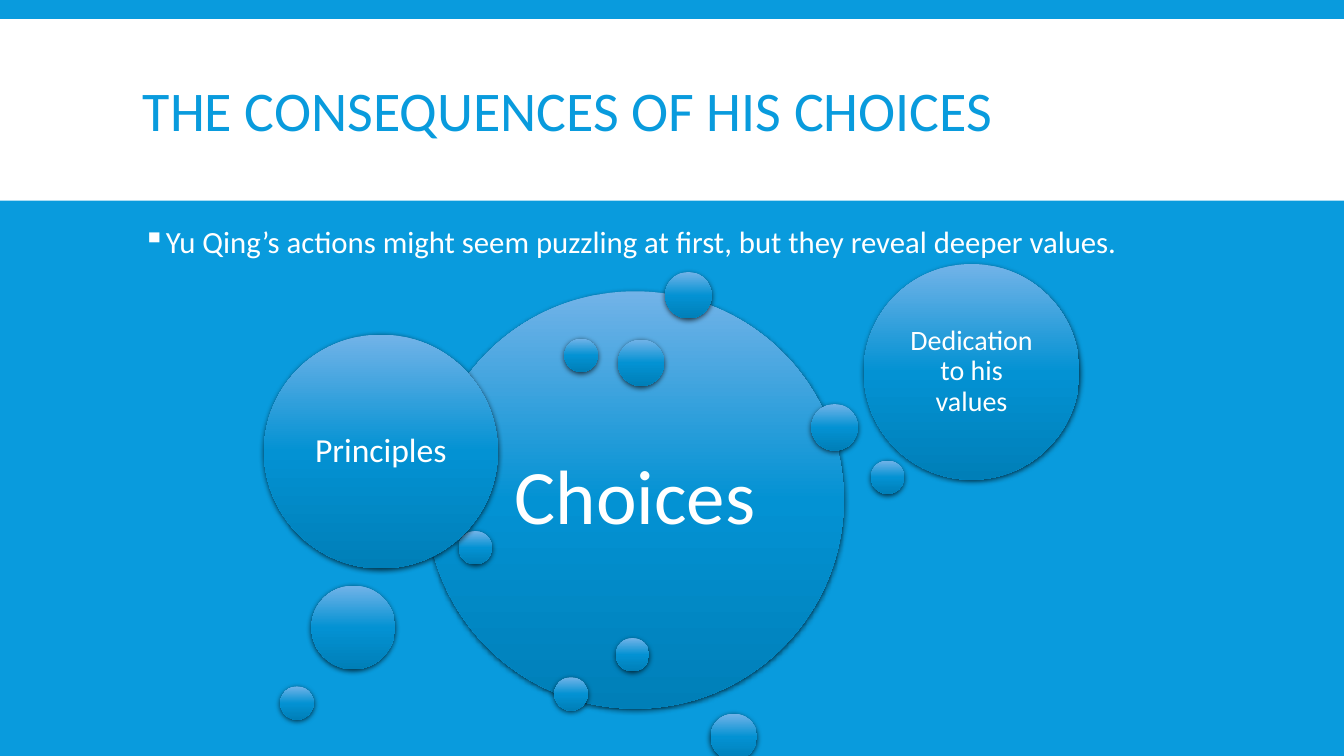
from copy import deepcopy
from dataclasses import dataclass

from pptx import Presentation
from pptx import util as u
from pptx.dml.color import RGBColor
from pptx.enum import shapes, text
from pptx.oxml import parse_xml
from pptx.oxml.ns import nsdecls, qn

BLUE, WHITE = "099BDD", "FFFFFF"
SHADES = ((0, "72B3E8"), (0.5, "0392D3"), (1, "007FB8"))
FONT = "Calibri"
TINY, SMALL = 23.8, 33.1  # dot widths


@dataclass
class Bubble:
    left: float
    top: float
    width: float
    label: str = ""
    size: float = 0
    inset: float = 0


BUBBLES = [
    Bubble(304.6, 208.1, 298.1, "Choices", 55, 16.6),
    Bubble(475.2, 194.4, SMALL),
    Bubble(396, 483.8, TINY),
    Bubble(622.1, 329, TINY),
    Bubble(507.6, 509.8, SMALL),
    Bubble(403.2, 241.9, TINY),
    Bubble(327.6, 379.4, TINY),
    Bubble(188.6, 239, 167, "Principles", 24, 7.2),
    Bubble(441.4, 242.6, SMALL),
    Bubble(222.5, 418.3, 59.8),
    Bubble(617, 188.6, 154.1, "Dedication to his values", 20, 5.8),
    Bubble(579.6, 288.7, SMALL),
    Bubble(200.2, 490.3, TINY),
    Bubble(439.9, 455.8, TINY),
]


def color(code: str) -> RGBColor:
    return RGBColor.from_string(code)


def place(left: float, top: float, width: float, height: float) -> list:
    return [u.Pt(n) for n in (left, top, width, height)]


def write(frame, words: str, size: float, code: str, spacing: float):
    """Fill a text frame with one styled paragraph and return it."""
    frame.word_wrap = True
    para = frame.paragraphs[0]
    para.text = words
    para.line_spacing = spacing
    para.font.name = FONT
    para.font.size = u.Pt(size)
    para.font.color.rgb = color(code)
    return para


def shade(shape) -> None:
    """Give a shape the three-step gradient and a soft shadow."""
    shape.fill.gradient()
    shape.fill.gradient_angle = 270
    props = shape._element.spPr
    steps = props.find(".//" + qn("a:gsLst"))
    steps.insert(1, deepcopy(steps[0]))
    for stop, (spot, code) in zip(shape.fill.gradient_stops, SHADES):
        stop.position = spot
        stop.color.rgb = color(code)
    shape.line.fill.background()
    shape.shadow.inherit = False
    props.find(qn("a:effectLst")).append(parse_xml(
        f'<a:outerShdw {nsdecls("a")} blurRad="{u.Pt(4)}" dist="{u.Pt(1.2)}" '
        'dir="5400000" algn="ctr" rotWithShape="0"><a:srgbClr val="000000">'
        '<a:alpha val="68000"/></a:srgbClr></a:outerShdw>'))


def draw(slide, bubble: Bubble) -> None:
    shape = slide.shapes.add_shape(
        shapes.MSO_SHAPE.OVAL,
        *place(bubble.left, bubble.top, bubble.width, bubble.width))
    shade(shape)
    if bubble.label:
        frame = shape.text_frame
        frame.margin_left = frame.margin_right = u.Pt(bubble.inset)
        frame.margin_top = frame.margin_bottom = u.Pt(bubble.inset)
        frame.vertical_anchor = text.MSO_ANCHOR.MIDDLE
        para = write(frame, bubble.label, bubble.size, WHITE, 0.9)
        para.alignment = text.PP_ALIGN.CENTER


def mark(para, code: str, indent: float) -> None:
    """Add a square bullet with a hanging indent."""
    props = para._p.get_or_add_pPr()
    props.set("marL", str(u.Pt(indent)))
    props.set("indent", str(-u.Pt(indent)))
    for tag in (f'<a:buClr {nsdecls("a")}><a:srgbClr val="{code}"/></a:buClr>',
                f'<a:buChar {nsdecls("a")} char="▪"/>'):
        props.insert_element_before(parse_xml(tag), "a:tabLst", "a:defRPr")


def main() -> None:
    deck = Presentation()
    deck.slide_width, deck.slide_height = u.Pt(960), u.Pt(540)
    slide = deck.slides.add_slide(deck.slide_layouts[6])
    slide.background.fill.solid()
    slide.background.fill.fore_color.rgb = color(BLUE)

    # Title band
    band = slide.shapes.add_shape(
        shapes.MSO_SHAPE.RECTANGLE, *place(0, 13.7, 960, 129.6))
    band.shadow.inherit = False
    band.fill.solid()
    band.fill.fore_color.rgb = color(WHITE)
    band.line.fill.background()

    # Title
    title = slide.shapes.add_textbox(*place(95, 22.3, 770.4, 118.8)).text_frame
    title.vertical_anchor = text.MSO_ANCHOR.MIDDLE
    write(title, "THE CONSEQUENCES OF HIS CHOICES", 40, BLUE, 0.85)

    # Bullet line
    body = slide.shapes.add_textbox(*place(95, 158.4, 770.4, 331.2)).text_frame
    para = write(body, "Yu Qing’s actions might seem puzzling at first, "
                 "but they reveal deeper values.", 22, WHITE, 0.9)
    para.space_before, para.space_after = u.Pt(12), u.Pt(2)
    mark(para, WHITE, 14.4)

    # Bubbles, back to front
    for bubble in BUBBLES:
        draw(slide, bubble)

    deck.save("out.pptx")


if __name__ == "__main__":
    main()
